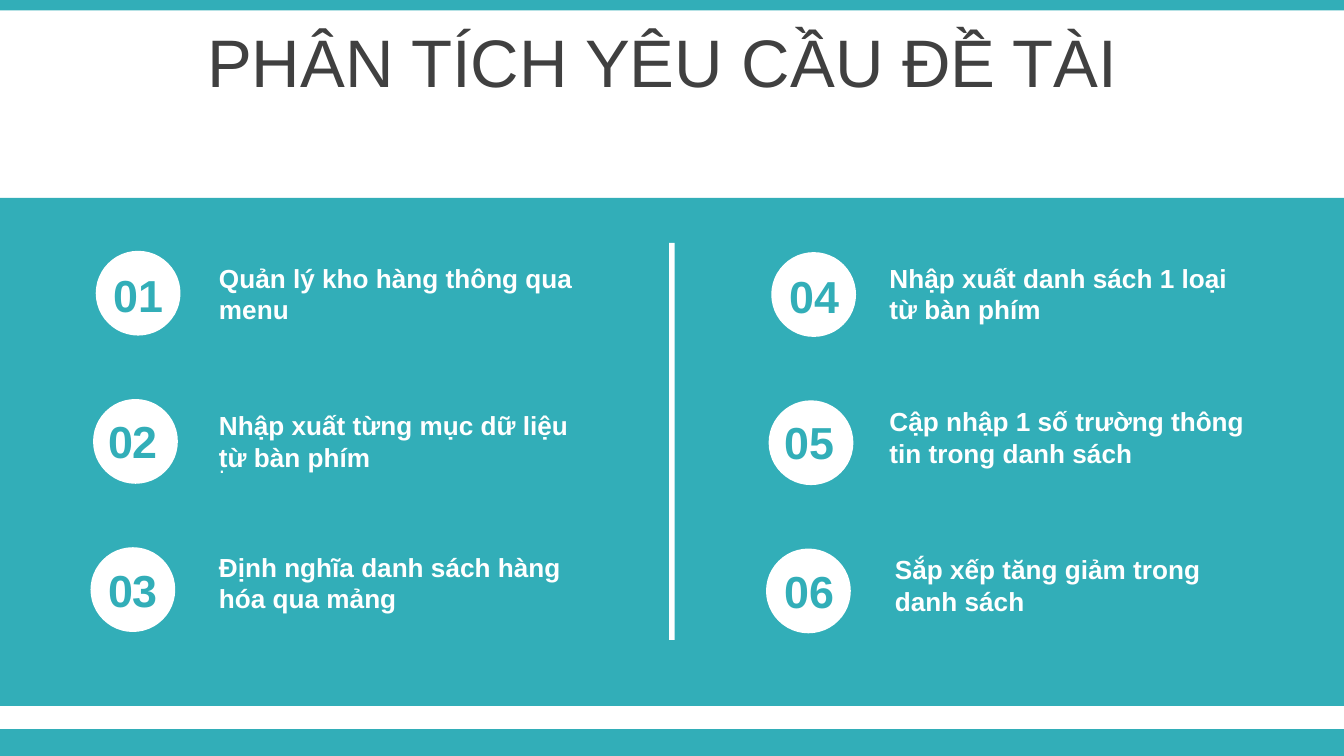
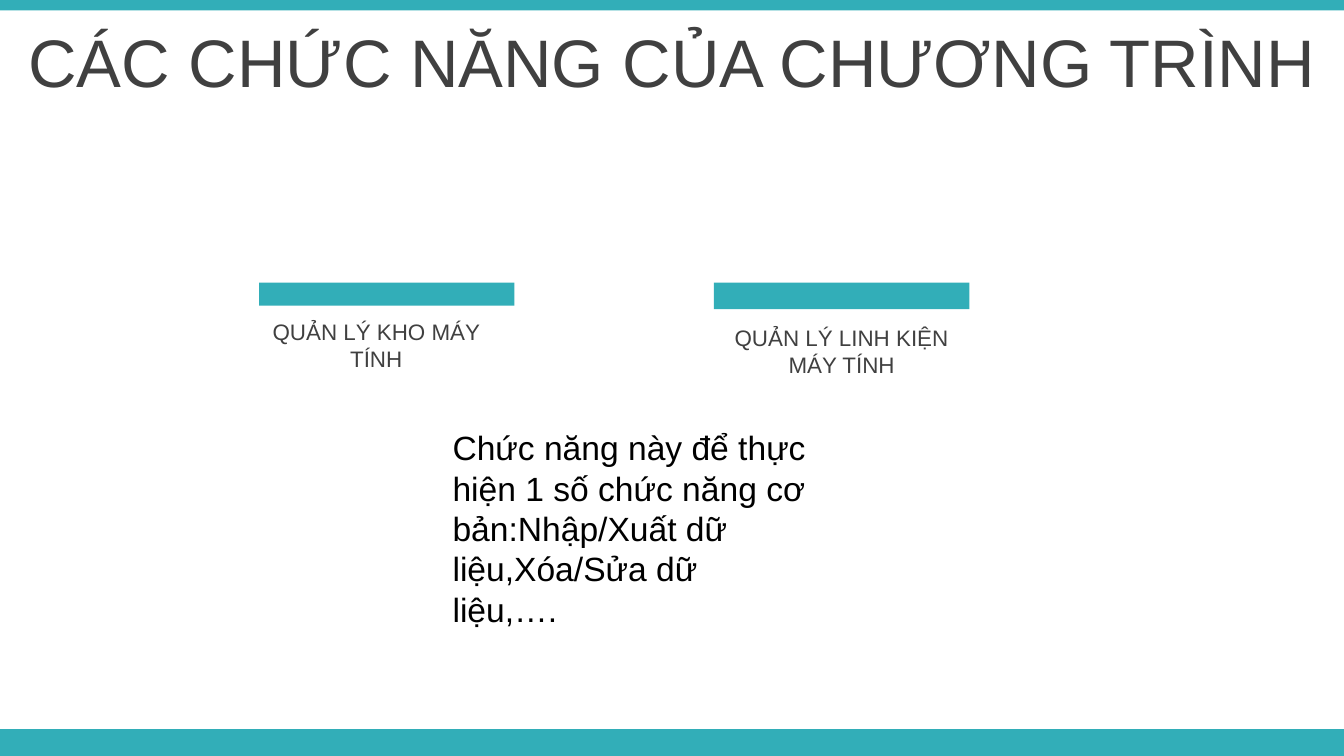
"""Build two slides on the warehouse program: its requirements and its functions."""
from pptx import Presentation
from pptx.dml.color import RGBColor
from pptx.enum import shapes, text
from pptx.util import Pt

HUES = {"teal": "32AEB8", "white": "FFFFFF", "gray": "404040", "black": "000000"}
KINDS = shapes.MSO_SHAPE
MID = text.PP_ALIGN.CENTER
LEFT = text.PP_ALIGN.LEFT


def block(slide, kind, left, top, width, height, hue):
    item = slide.shapes.add_shape(kind, Pt(left), Pt(top), Pt(width), Pt(height))
    item.shadow.inherit = False
    item.fill.solid()
    item.fill.fore_color.rgb = RGBColor.from_string(HUES[hue])
    item.line.fill.background()


def label(slide, words, left, top, width, height, size, hue, bold=False, align=LEFT):
    box = slide.shapes.add_textbox(Pt(left), Pt(top), Pt(width), Pt(height))
    frame = box.text_frame
    frame.word_wrap = True
    frame.text = words
    para = frame.paragraphs[0]
    para.alignment = align
    font = para.runs[0].font
    font.name = "Arial"
    font.size = Pt(size)
    font.bold = bold
    font.color.rgb = RGBColor.from_string(HUES[hue])
    return frame


deck = Presentation()
deck.slide_width = Pt(720)
deck.slide_height = Pt(405)

pages = []
for title in ("PHÂN TÍCH YÊU CẦU ĐỀ TÀI ", "CÁC CHỨC NĂNG CỦA CHƯƠNG TRÌNH"):
    page = deck.slides.add_slide(deck.slide_layouts[6])
    block(page, KINDS.RECTANGLE, 0, 390.6, 720, 14.4, "teal")
    block(page, KINDS.RECTANGLE, 0, 0, 720, 5.6, "teal")
    frame = label(page, title, 0, 10, 720, 45.4, 36, "gray", align=MID)
    frame.vertical_anchor = text.MSO_ANCHOR.MIDDLE
    pages.append(page)
needs, tasks = pages

block(needs, KINDS.RECTANGLE, 0, 106, 720, 272.2, "teal")
block(needs, KINDS.RECTANGLE, 358.5, 130.2, 3, 212.6, "white")

goals = [
    ("Quản lý kho hàng thông qua menu", 110.2, 136.8, 49, 139.7),
    ("Nhập xuất từng mục dữ liệu từ bàn phím", 110.2, 216, 46.1, 218.2),
    ("Định nghĩa danh sách hàng hóa qua mảng", 110.2, 291.8, 46.1, 298.1),
    ("Nhập xuất danh sách 1 loại từ bàn phím", 469.4, 136.8, 411.2, 140.4),
    ("Cập nhập 1 số trường thông tin trong danh sách", 469.4, 213.8, 408.3, 218.9),
    ("Sắp xếp tăng giảm trong danh sách", 472.3, 293.2, 408.3, 298.4),
]
for rank, (goal, left, top, num_left, num_top) in enumerate(goals):
    col, row = divmod(rank, 3)
    block(needs, KINDS.OVAL, 51.3 + 361.9 * col - 1.4 * row,
          134.4 + 0.7 * col + 79.4 * row, 45.4, 45.4, "white")
    label(needs, goal, left, top, 209.5, 41, 14, "white", bold=True)
    label(needs, f"{rank + 1:02d}", num_left, num_top, 50.4, 36, 24, "teal",
          bold=True, align=MID)
label(needs, ".", 110.2, 238.3, 209.5, 21.6, 12, "white")

parts = [
    ("QUẢN LÝ KHO MÁY TÍNH", 133.2, 167, 138.8, 12.4),
    ("QUẢN LÝ LINH KIỆN MÁY TÍNH", 382.5, 170.4, 382.5, 14.2),
]
for name, left, top, bar_left, bar_high in parts:
    label(tasks, name, left, top, 136.8, 36, 12, "gray", align=MID)
    block(tasks, KINDS.RECTANGLE, bar_left, 151.4, 136.8, bar_high, "teal")
label(tasks, "Chức năng này để thực hiện 1 số chức năng cơ bản:Nhập/Xuất dữ liệu,Xóa/Sửa dữ liệu,….",
      235.4, 225.4, 203.8, 94.3, 18, "black")

deck.save("out.pptx")
